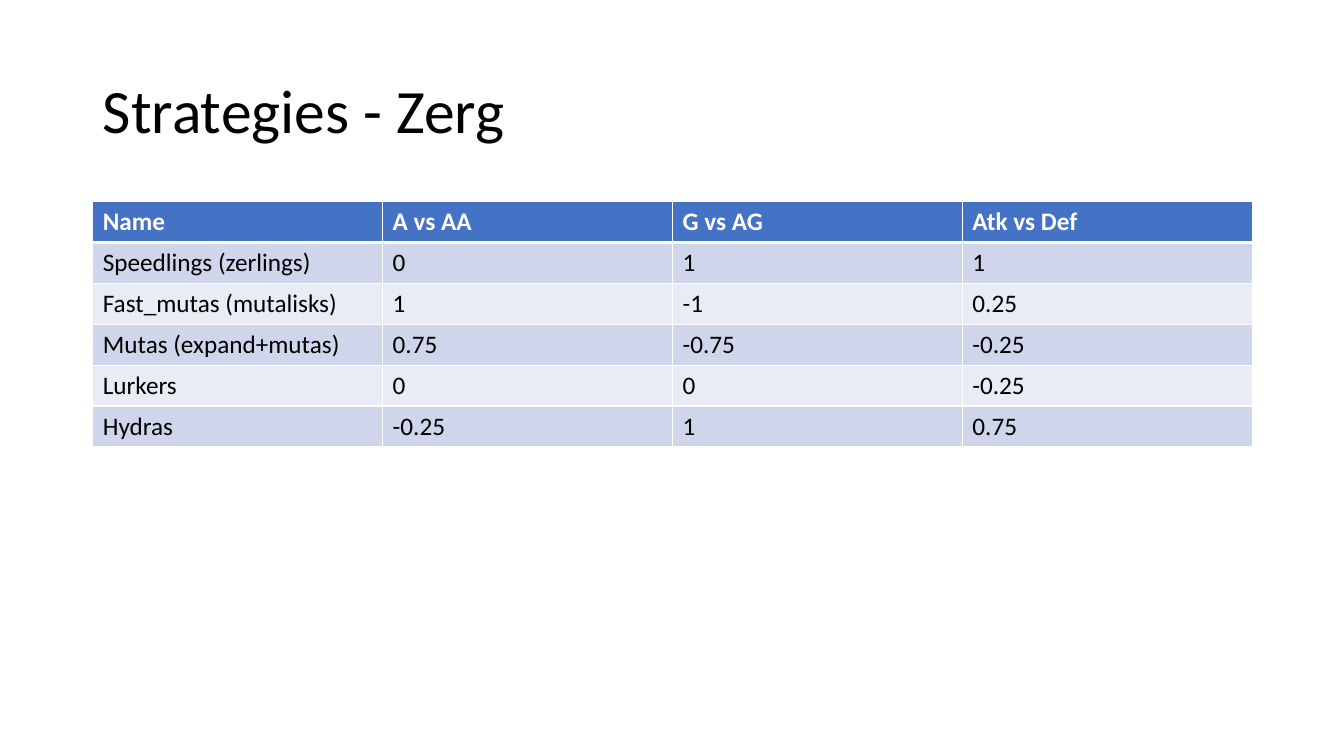
from lxml import etree
from pptx import Presentation
from pptx import util as u
from pptx.dml import color
from pptx.enum import text
from pptx.oxml import ns

FONT = "Calibri"
STRATEGIES = [
    ["Name", "A vs AA", "G vs AG", "Atk vs Def"],
    ["Speedlings (zerlings)", "0", "1", "1"],
    ["Fast_mutas (mutalisks)", "1", "-1", "0.25"],
    ["Mutas (expand+mutas)", "0.75", "-0.75", "-0.25"],
    ["Lurkers", "0", "0", "-0.25"],
    ["Hydras", "-0.25", "1", "0.75"],
]


def paint(target, hex_color):
    """Colour a font's or a cell's fill."""
    target.fill.solid()
    target.fill.fore_color.rgb = color.RGBColor.from_string(hex_color)


def style_font(font, size, hex_color, bold=False):
    font.name = FONT
    font.size = u.Pt(size)
    font.bold = bold
    paint(font, hex_color)


def add_borders(cell, hex_color, **widths):
    """Draw cell edges; widths maps L, R, T, B to points."""
    properties = cell._tc.get_or_add_tcPr()
    for side, width in widths.items():
        edge = etree.SubElement(properties, ns.qn(f"a:ln{side}"), w=str(u.Pt(width)))
        fill = etree.SubElement(edge, ns.qn("a:solidFill"))
        etree.SubElement(fill, ns.qn("a:srgbClr"), val=hex_color)


def place_title(slide, left, top, width, height):
    title = slide.shapes.title
    title.left, title.top = u.Inches(left), u.Inches(top)
    title.width, title.height = u.Inches(width), u.Inches(height)
    frame = title.text_frame
    frame.text = "Strategies - Zerg"
    frame.word_wrap = True
    frame.auto_size = text.MSO_AUTO_SIZE.NONE
    frame.vertical_anchor = text.MSO_ANCHOR.MIDDLE
    heading = frame.paragraphs[0]
    heading.alignment = text.PP_ALIGN.LEFT
    heading.line_spacing = 0.9
    style_font(heading.runs[0].font, 44, "000000")


def place_strategies(slide, left, top, width, height):
    table = slide.shapes.add_table(
        len(STRATEGIES), len(STRATEGIES[0]),
        u.Inches(left), u.Inches(top), u.Inches(width), u.Inches(height)).table
    for row, values in enumerate(STRATEGIES):
        header = row == 0
        band = "4472C4" if header else "CFD5EA" if row % 2 else "E9EBF5"
        for column, value in enumerate(values):
            cell = table.cell(row, column)
            cell.text = value
            style_font(cell.text_frame.paragraphs[0].runs[0].font, 18,
                       "FFFFFF" if header else "000000", header)
            add_borders(cell, "FFFFFF", L=1, R=1,
                        T=3 if row == 1 else 1, B=3 if header else 1)
            paint(cell, band)


def main():
    deck = Presentation()
    deck.slide_width, deck.slide_height = u.Inches(13.33), u.Inches(7.5)
    slide = deck.slides.add_slide(deck.slide_layouts.get_by_name("Title Only"))
    place_title(slide, 0.92, 0.4, 11.5, 1.45)
    place_strategies(slide, 0.92, 2, 11.5, 2.43)
    deck.save("out.pptx")


if __name__ == "__main__":
    main()
